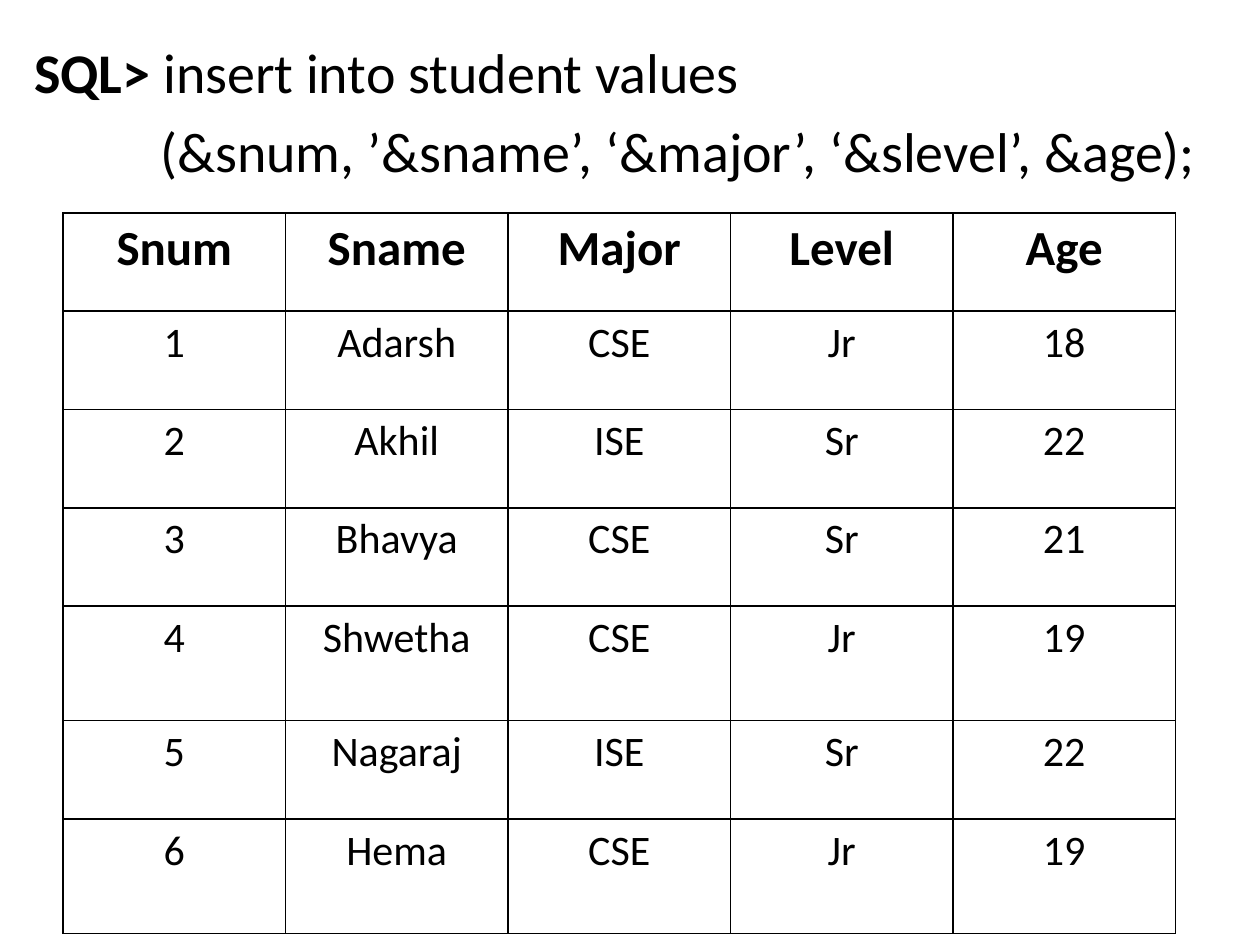
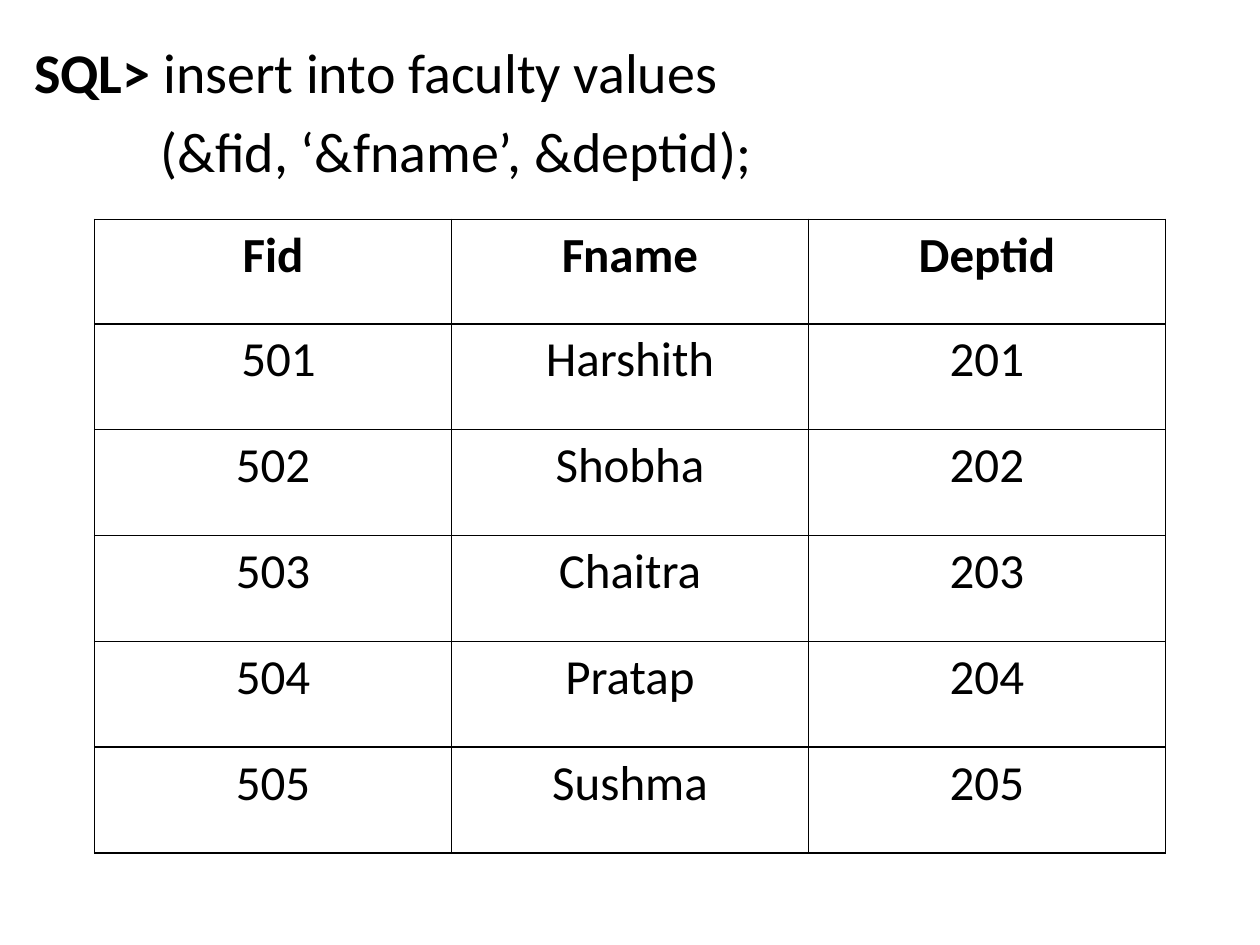
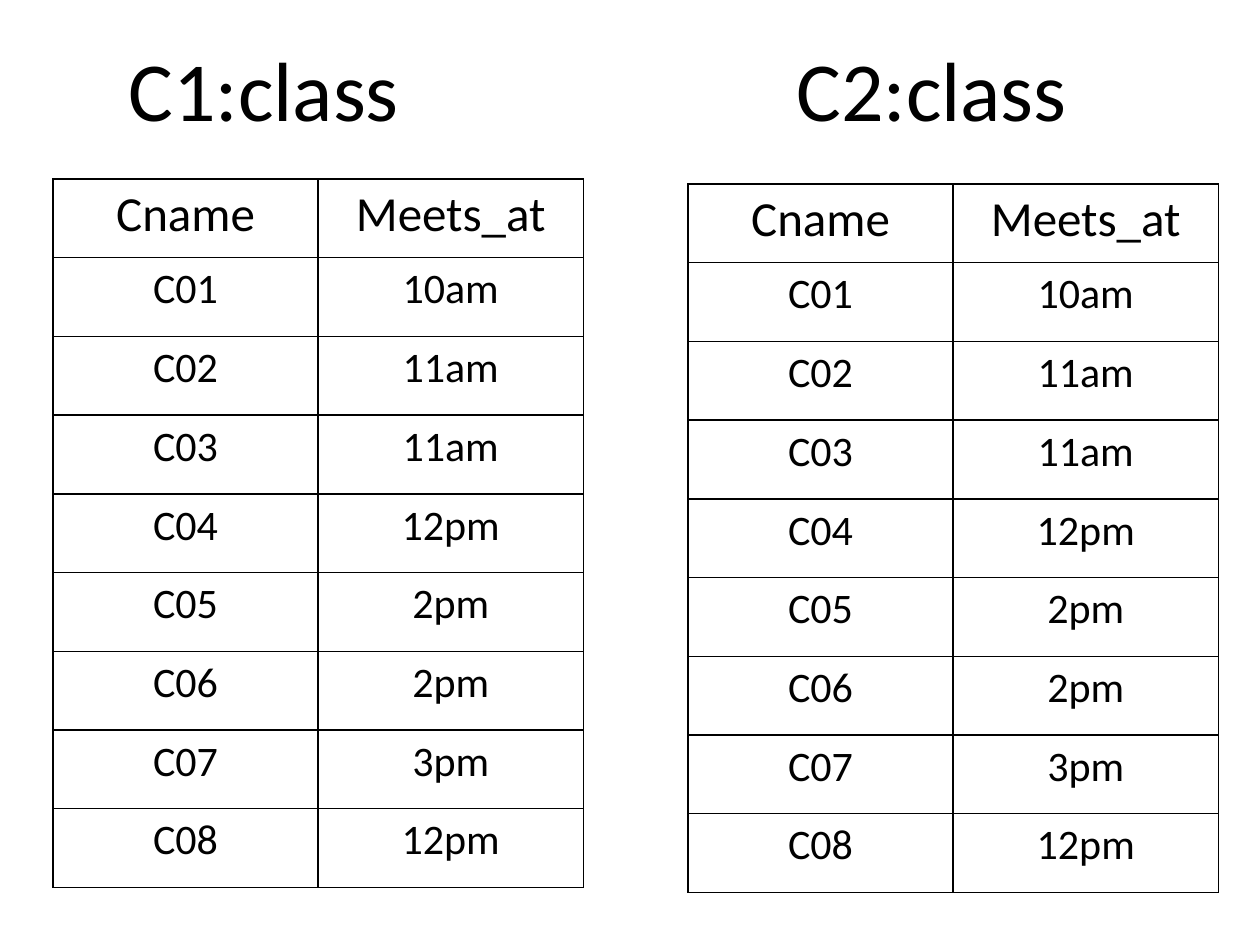
from pptx import Presentation
from pptx.dml.color import RGBColor
from pptx.enum.text import MSO_ANCHOR as Anchor, MSO_AUTO_SIZE as Fit, PP_ALIGN as Align
from pptx.oxml import parse_xml
from pptx.oxml.ns import nsdecls
from pptx.util import Inches, Pt

FONT = "Calibri"
INK = "000000"
HEAD = 28

STUDENTS = [
    ("Snum", "Sname", "Major", "Level", "Age"),
    ("1", "Adarsh", "CSE", "Jr", "18"),
    ("2", "Akhil", "ISE", "Sr", "22"),
    ("3", "Bhavya", "CSE", "Sr", "21"),
    ("4", "Shwetha", "CSE", "Jr", "19"),
    ("5", "Nagaraj", "ISE", "Sr", "22"),
    ("6", "Hema", "CSE", "Jr", "19"),
]
FACULTY = [
    ("Fid", "Fname", "Deptid"),
    (" 501", "Harshith", "201"),
    ("502", "Shobha", "202"),
    ("503", "Chaitra", "203"),
    ("504", "Pratap", "204"),
    ("505", "Sushma", "205"),
]
TIMES = ["10am", "11am", "11am", "12pm", "2pm", "2pm", "3pm", "12pm"]
CLASSES = [("Cname", "Meets_at")] + [(f"C{n:02}", at) for n, at in enumerate(TIMES, 1)]


def color(code):
    return RGBColor.from_string(code)


def write(para, text, size, bold=False, align=Align.LEFT):
    para.alignment = align
    run = para.add_run()
    run.text = text
    font = run.font
    font.name, font.size, font.bold = FONT, Pt(size), bold
    font.color.rgb = color(INK)


def set_tabs(para, stops):
    """Put left tab stops at the given inches from the text edge."""
    tabs = "".join(f'<a:tab pos="{Inches(stop)}" algn="l"/>' for stop in stops)
    para._p.get_or_add_pPr().append(
        parse_xml(f'<a:tabLst {nsdecls("a")}>{tabs}</a:tabLst>'))


def add_title(slide, lines, size, stops, width=9.67):
    """Fill the title; each line is a list of (text, bold) parts."""
    title = slide.shapes.title
    title.left, title.top = Inches(0.17), Inches(0.25)
    title.width, title.height = Inches(width), Inches(7)
    frame = title.text_frame
    frame.word_wrap = True
    frame.auto_size = Fit.NONE
    frame.vertical_anchor = Anchor.TOP
    for i, parts in enumerate(lines):
        para = frame.add_paragraph() if i else frame.paragraphs[0]
        para.space_before = Pt(size * 0.2)
        set_tabs(para, stops)
        for text, bold in parts:
            write(para, text, size, bold)


def add_borders(cell):
    props = cell._tc.get_or_add_tcPr()
    for i, side in enumerate("LRTB"):
        props.insert(i, parse_xml(
            f'<a:ln{side} {nsdecls("a")} w="{Pt(1)}"><a:solidFill>'
            f'<a:srgbClr val="{INK}"/></a:solidFill></a:ln{side}>'))


def add_grid(slide, data, left, top, width, heights, size=24, bold=True):
    """Draw a ruled table whose first row is the heading."""
    table = slide.shapes.add_table(
        len(data), len(data[0]), Inches(left), Inches(top),
        Inches(width), Inches(sum(heights))).table
    table.first_row = table.horz_banding = False
    for r, (row, height) in enumerate(zip(data, heights)):
        table.rows[r].height = Inches(height)
        for c, text in enumerate(row):
            cell = table.cell(r, c)
            cell.fill.background()
            add_borders(cell)
            write(cell.text_frame.paragraphs[0], text, size if r else HEAD,
                  bold=bold and r == 0, align=Align.CENTER)


def insert_slide(slide, name, values, data, **grid):
    """Show an insert statement above the rows it fills."""
    lines = [[("SQL> ", True), (f"insert into {name} values", False)],
             [(f"\t{values}", False)]]
    add_title(slide, lines, 32, [1])
    add_grid(slide, data, **grid)


def class_slide(slide):
    add_title(slide, [[("\tC1:class\tC2:class", False)]], 48, [0.75, 6.05], width=9.58)
    for left, top in ((0.42, 1.42), (5.46, 1.46)):
        add_grid(slide, CLASSES, left, top, 4.21, [0.625] * len(CLASSES), bold=False)


def main():
    deck = Presentation()
    deck.slide_width, deck.slide_height = Inches(10), Inches(7.5)
    layout = deck.slide_layouts[5]
    insert_slide(deck.slides.add_slide(layout), "student",
                 "(&snum, ’&sname’, ‘&major’, ‘&slevel’, &age);", STUDENTS,
                 left=0.5, top=1.69, width=8.83,
                 heights=[0.78, 0.78, 0.78, 0.78, 0.91, 0.78, 0.91])
    insert_slide(deck.slides.add_slide(layout), "faculty",
                 "(&fid, ‘&fname’, &deptid);", FACULTY,
                 left=0.75, top=1.74, width=8.5,
                 heights=[0.83] + [0.84] * 5, size=28)
    class_slide(deck.slides.add_slide(layout))
    deck.save("out.pptx")


if __name__ == "__main__":
    main()
